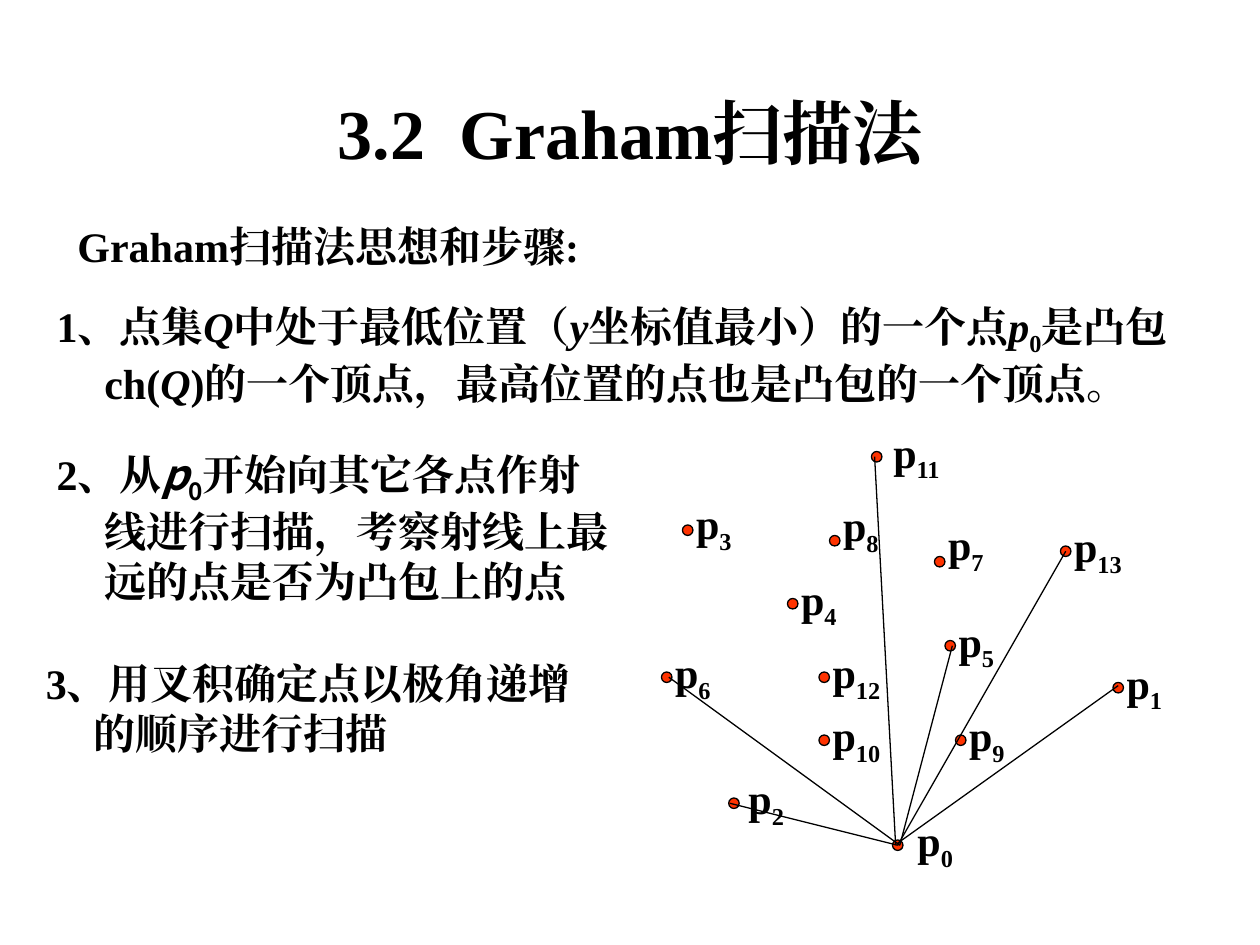
from lxml import etree
from pptx import Presentation, util as u
from pptx.dml.color import RGBColor
from pptx.enum import lang, shapes, text
from pptx.oxml import ns

INK = {"text": "000000", "line": "000000", "dot": "FF3300"}
SERIF, SANS = "Times New Roman", "Noto Sans CJK SC"

deck = Presentation()
deck.slide_width, deck.slide_height = u.Inches(10), u.Inches(7.5)
page = deck.slides.add_slide(deck.slide_layouts[6])
col, row = deck.slide_width / 120, deck.slide_height / 90


def grid(*cells):
    return [round(n * unit) for n, unit in zip(cells, (col, row, col, row))]


def write(home, cells, runs, size=24, wrap=True, hang=False):
    box = home.add_textbox(*grid(*cells))
    frame = box.text_frame
    frame.word_wrap = wrap
    fit = text.MSO_AUTO_SIZE
    frame.auto_size = fit.NONE if wrap else fit.SHAPE_TO_FIT_TEXT
    para = frame.paragraphs[0]
    if hang:
        para.space_before = u.Pt(6)
        props = para._p.get_or_add_pPr()
        props.set("marL", str(u.Inches(0.38)))
        props.set("indent", str(-u.Inches(0.38)))
    for words, kind in runs:
        run = para.add_run()
        run.text = words
        font = run.font
        font.size, font.bold = u.Pt(size), True
        font.italic = "i" in kind
        font.color.rgb = RGBColor.from_string(INK["text"])
        font.name = SANS if "s" in kind else SERIF
        font.language_id = lang.MSO_LANGUAGE_ID.SIMPLIFIED_CHINESE
        props = run._r.get_or_add_rPr()
        etree.SubElement(props, ns.qn("a:ea")).set("typeface", font.name)
        if "b" in kind:
            props.set("baseline", "-25000")
    return box


title = write(page.shapes, (9, 8, 102, 9), [("3.2  Graham扫描法", "")], size=40)
title.text_frame.vertical_anchor = text.MSO_ANCHOR.MIDDLE
title.text_frame.paragraphs[0].alignment = text.PP_ALIGN.CENTER

steps = [
    ((4.2, 28, 111, 13), [
        ("1、点集", ""), ("Q", "i"), ("中处于最低位置（", ""), ("y", "i"),
        ("坐标值最小）的一个点", ""), ("p", "i"), ("0", "b"),
        ("是凸包ch(", ""), ("Q", "i"),
        (")的一个顶点，最高位置的点也是凸包的一个顶点。", "")]),
    ((3.2, 62, 53.9, 13.4), [("3、用叉积确定点以极角递增的顺序进行扫描", "")]),
    ((4.2, 42.1, 55.8, 17), [
        ("2、从", ""), ("p", "is"), ("0", "sb"),
        ("开始向其它各点作射线进行扫描，考察射线上最远的点是否为凸包上的点", "")]),
]
for cells, runs in steps:
    write(page.shapes, cells, runs, hang=True)

dots = {
    0: (85, 80), 1: (106, 65), 2: (69.4, 76), 3: (65, 50), 4: (75, 57),
    5: (90, 61), 6: (63, 64), 7: (89, 53), 8: (79, 51), 9: (91, 70),
    10: (78, 70), 11: (83, 43), 12: (78, 64), 13: (101, 52),
}
right = {0: 1.2, 2: 0.7, 11: 0.9}
lift = {3: 3.2, 7: 4.2, 8: 4}
plot = page.shapes.add_group_shape().shapes

for key, (x, y) in dots.items():
    wide = 7 if key > 9 else 5.8
    spot = (x + right.get(key, 0.12), y - lift.get(key, 3), wide, 6.7)
    write(plot, spot, [("p", ""), (str(key), "b")], wrap=False)

for x, y in dots.values():
    dot = plot.add_shape(shapes.MSO_SHAPE.FLOWCHART_CONNECTOR, *grid(x, y, 1, 1))
    dot.shadow.inherit = False
    dot.fill.solid()
    dot.fill.fore_color.rgb = RGBColor.from_string(INK["dot"])
    dot.line.color.rgb = RGBColor.from_string(INK["line"])
    dot.line.width = u.Pt(0.75)

rays = [
    (85.5, 80.3, 106.5, 65.3), (85.5, 80.5, 101.5, 52.5),
    (85.5, 80.5, 69.5, 76.5), (85.3, 80.5, 83.3, 43.5),
    (85.7, 80.5, 63.7, 64.5), (85.7, 80.5, 90.7, 61.5),
]
for ends in rays:
    ray = plot.add_connector(shapes.MSO_CONNECTOR.STRAIGHT, *grid(*ends))
    ray.line.color.rgb = RGBColor.from_string(INK["line"])
    ray.line.width = u.Pt(0.75)
    etree.SubElement(ray._element.spPr, ns.qn("a:effectLst"))

write(page.shapes, (6.2, 20.4, 52.1, 6), [("Graham扫描法思想和步骤:", "")], wrap=False)

deck.save("out.pptx")
